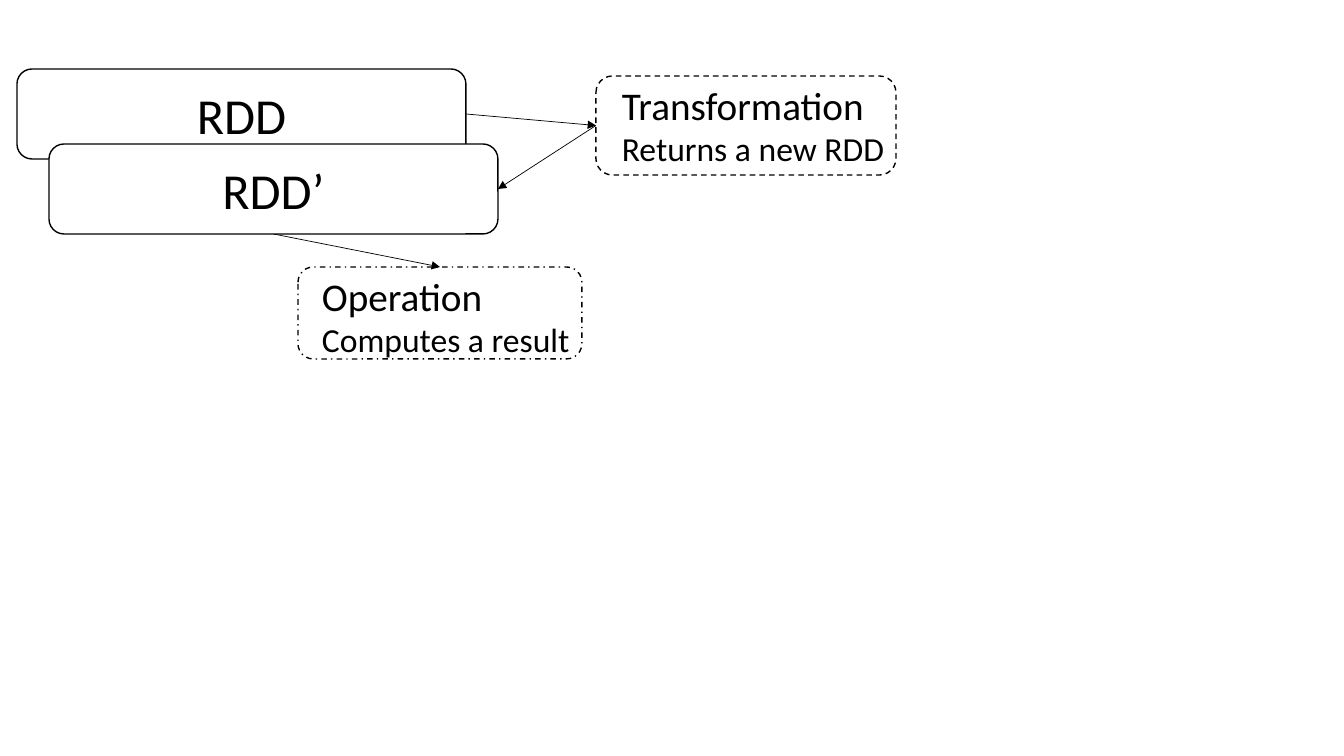
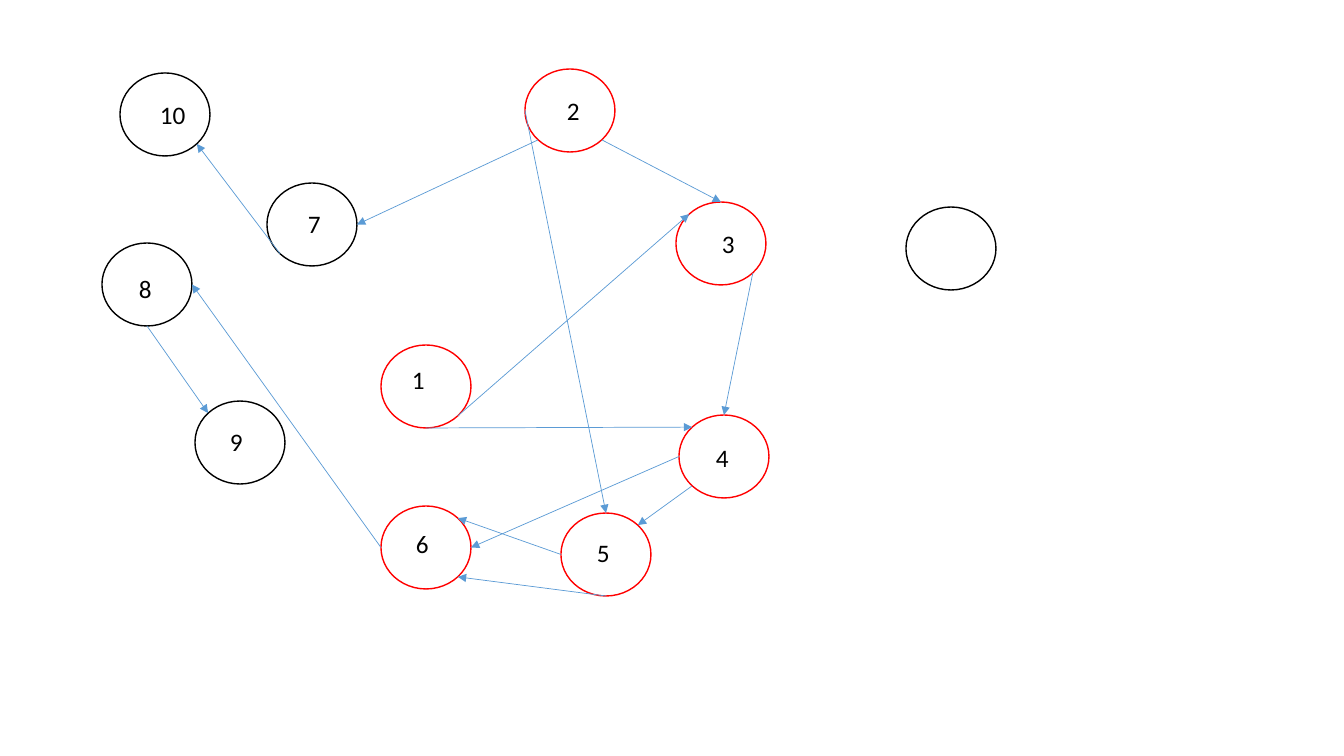
"""Build an RDD flow slide and a directed graph slide."""
from dataclasses import dataclass
from enum import Enum
from typing import Optional

from pptx import Presentation
from pptx import util as u
from pptx.dml.color import RGBColor
from pptx.enum import dml, shapes, text
from pptx.oxml import ns, xmlchemy

EMU_PER_PIXEL = 914400 / 100.8


@dataclass(frozen=True)
class Theme:
    font: str = "Calibri"
    ink: str = "000000"
    paper: str = "FFFFFF"
    visited: str = "FF0000"
    edge: str = "5B9BD5"
    outline: float = 1
    arrow: float = 0.5
    box_size: int = 36
    heading_size: int = 28
    detail_size: int = 24
    label_size: int = 18


THEME = Theme()


class Site(Enum):
    TOP = (0.5, 0)
    TOP_LEFT = (0.146, 0.146)
    LEFT = (0, 0.5)
    BOTTOM_LEFT = (0.146, 0.854)
    BOTTOM = (0.5, 1)
    BOTTOM_RIGHT = (0.854, 0.854)
    RIGHT = (1, 0.5)
    TOP_RIGHT = (0.854, 0.146)


@dataclass(frozen=True)
class Box:
    left: int
    top: int
    width: int
    height: int

    def emu(self) -> list[int]:
        return [pixels(n) for n in (self.left, self.top, self.width, self.height)]

    def point(self, site: Site) -> list[int]:
        across, down = site.value
        return [pixels(self.left + across * self.width),
                pixels(self.top + down * self.height)]


@dataclass(frozen=True)
class Line:
    words: str
    size: int


@dataclass(frozen=True)
class Note:
    frame: Box
    caption: Box
    heading: str
    detail: str
    dash: dml.MSO_LINE


@dataclass(frozen=True)
class Node:
    left: int
    top: int
    color: str
    label_left: int = 0
    label_top: int = 0
    label_width: int = 47

    def circle(self) -> Box:
        return Box(self.left, self.top, 90, 83)

    def label(self) -> Box:
        return Box(self.label_left, self.label_top, self.label_width, 40)


@dataclass(frozen=True)
class Edge:
    start: str
    start_site: Site
    end: str
    end_site: Site


RDD = Box(17, 69, 449, 90)
NEW_RDD = Box(49, 144, 449, 90)
OPERATION = Note(Box(298, 267, 284, 92), Box(312, 267, 270, 99),
                 "Operation", "Computes a result", dml.MSO_LINE.DASH_DOT)
TRANSFORMATION = Note(Box(596, 76, 300, 99), Box(612, 76, 285, 99),
                      "Transformation", "Returns a new RDD", dml.MSO_LINE.DASH)

NODES = {
    "7": Node(267, 183, THEME.ink, 298, 203),
    "2": Node(525, 69, THEME.visited, 557, 90),
    "3": Node(676, 202, THEME.visited, 712, 223),
    "1": Node(381, 345, THEME.visited, 402, 359),
    "5": Node(561, 513, THEME.visited, 587, 532, 86),
    "6": Node(381, 506, THEME.visited, 406, 523),
    "8": Node(102, 243, THEME.ink, 129, 268),
    "9": Node(195, 401, THEME.ink, 220, 421),
    "10": Node(120, 73, THEME.ink, 150, 94),
    "4": Node(679, 415, THEME.visited, 706, 437),
}
UNLABELLED = Node(906, 207, THEME.ink)

EDGES = [
    Edge("1", Site.BOTTOM_RIGHT, "3", Site.TOP_LEFT),
    Edge("1", Site.BOTTOM, "4", Site.TOP_LEFT),
    Edge("2", Site.BOTTOM_RIGHT, "3", Site.TOP),
    Edge("2", Site.BOTTOM_LEFT, "7", Site.RIGHT),
    Edge("2", Site.LEFT, "5", Site.TOP),
    Edge("3", Site.BOTTOM_RIGHT, "4", Site.TOP),
    Edge("4", Site.LEFT, "6", Site.RIGHT),
    Edge("4", Site.BOTTOM_LEFT, "5", Site.TOP_RIGHT),
    Edge("5", Site.LEFT, "6", Site.TOP_RIGHT),
    Edge("6", Site.LEFT, "8", Site.RIGHT),
    Edge("8", Site.BOTTOM, "9", Site.TOP_LEFT),
    Edge("7", Site.BOTTOM_LEFT, "10", Site.BOTTOM_RIGHT),
    Edge("5", Site.BOTTOM, "6", Site.BOTTOM_RIGHT),
]


def pixels(count: float) -> int:
    return u.Emu(round(count * EMU_PER_PIXEL))


def rgb(color: str) -> RGBColor:
    return RGBColor.from_string(color)


def write(frame, lines: list[Line], align: Optional[text.PP_ALIGN] = None) -> None:
    for index, line in enumerate(lines):
        para = frame.add_paragraph() if index else frame.paragraphs[0]
        para.text = line.words
        para.alignment = align
        para.font.name = THEME.font
        para.font.size = u.Pt(line.size)
        para.font.color.rgb = rgb(THEME.ink)


def add_outline(page, kind: shapes.MSO_SHAPE, box: Box, color: str = THEME.ink,
                dash: Optional[dml.MSO_LINE] = None, fill: Optional[str] = None):
    shape = page.shapes.add_shape(kind, *box.emu())
    shape.shadow.inherit = False
    if fill:
        shape.fill.solid()
        shape.fill.fore_color.rgb = rgb(fill)
    else:
        shape.fill.background()
    shape.line.color.rgb = rgb(color)
    shape.line.width = u.Pt(THEME.outline)
    if dash:
        shape.line.dash_style = dash
    return shape


def add_rdd(page, box: Box, words: str, fill: Optional[str] = None) -> None:
    shape = add_outline(page, shapes.MSO_SHAPE.ROUNDED_RECTANGLE, box, fill=fill)
    shape.text_frame.vertical_anchor = text.MSO_ANCHOR.MIDDLE
    write(shape.text_frame, [Line(words, THEME.box_size)], text.PP_ALIGN.CENTER)


def add_text(page, box: Box, lines: list[Line], wrap: bool) -> None:
    frame = page.shapes.add_textbox(*box.emu()).text_frame
    frame.word_wrap = wrap
    frame.auto_size = text.MSO_AUTO_SIZE.SHAPE_TO_FIT_TEXT
    write(frame, lines)


def add_arrow(page, start: Box, start_site: Site, end: Box, end_site: Site,
              color: str) -> None:
    arrow = page.shapes.add_connector(shapes.MSO_CONNECTOR.STRAIGHT,
                                      *start.point(start_site), *end.point(end_site))
    arrow.line.color.rgb = rgb(color)
    arrow.line.width = u.Pt(THEME.arrow)
    head = xmlchemy.OxmlElement("a:tailEnd")
    head.set("type", "triangle")
    properties = arrow._element.spPr
    properties.find(ns.qn("a:ln")).append(head)
    properties.append(xmlchemy.OxmlElement("a:effectLst"))


def build_flow(page) -> None:
    notes = (OPERATION, TRANSFORMATION)
    add_rdd(page, RDD, "RDD")
    for note in notes:
        add_outline(page, shapes.MSO_SHAPE.ROUNDED_RECTANGLE, note.frame, dash=note.dash)
    for start, start_site, end, end_site in (
        (RDD, Site.RIGHT, TRANSFORMATION.frame, Site.LEFT),
        (TRANSFORMATION.frame, Site.LEFT, NEW_RDD, Site.RIGHT),
        (NEW_RDD, Site.BOTTOM, OPERATION.frame, Site.TOP),
    ):
        add_arrow(page, start, start_site, end, end_site, THEME.ink)
    add_rdd(page, NEW_RDD, "RDD’", THEME.paper)
    for note in notes:
        add_text(page, note.caption, [Line(note.heading, THEME.heading_size),
                                      Line(note.detail, THEME.detail_size)], wrap=False)


def build_graph(page) -> None:
    for node in (*NODES.values(), UNLABELLED):
        add_outline(page, shapes.MSO_SHAPE.OVAL, node.circle(), node.color)
    for name, node in NODES.items():
        add_text(page, node.label(), [Line(name, THEME.label_size)], wrap=True)
    for edge in EDGES:
        add_arrow(page, NODES[edge.start].circle(), edge.start_site,
                  NODES[edge.end].circle(), edge.end_site, THEME.edge)


def main() -> None:
    deck = Presentation()
    deck.slide_width, deck.slide_height = pixels(1344), pixels(756)
    blank = deck.slide_layouts[6]
    for build in (build_flow, build_graph):
        build(deck.slides.add_slide(blank))
    deck.save("out.pptx")


main()
